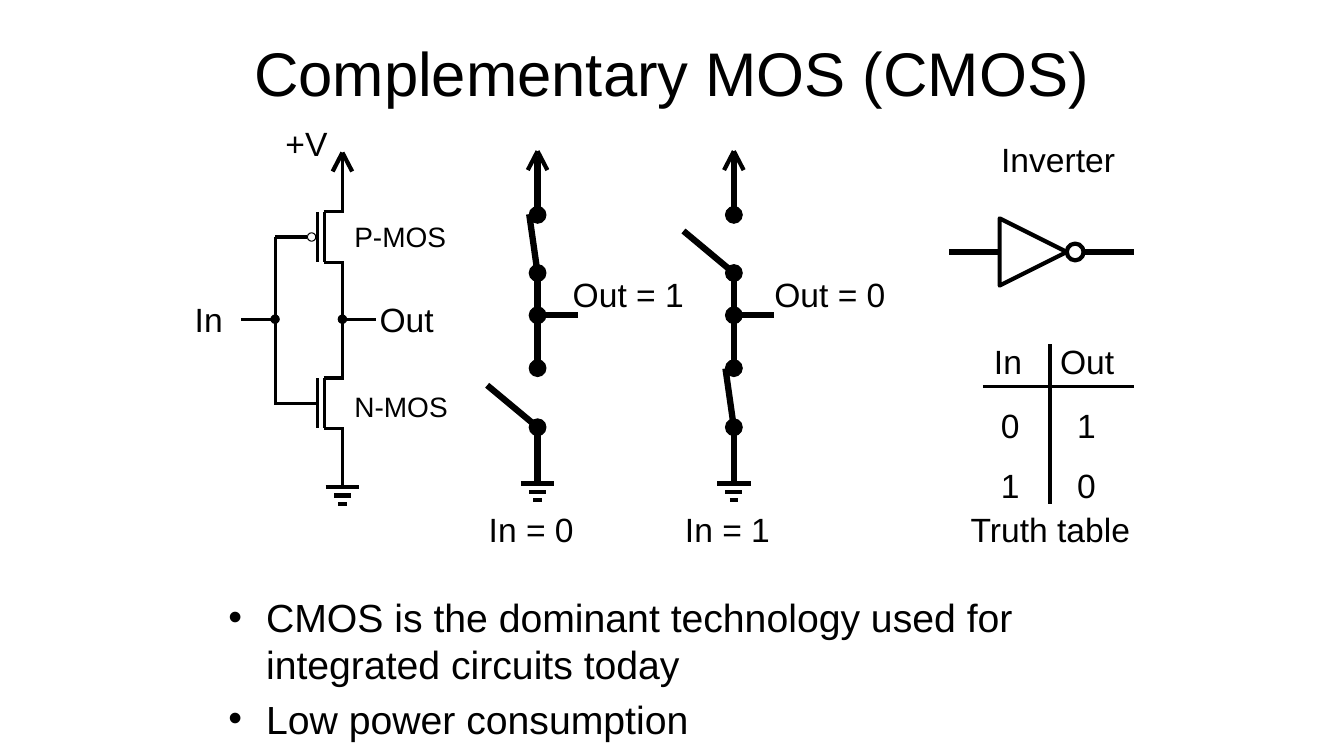
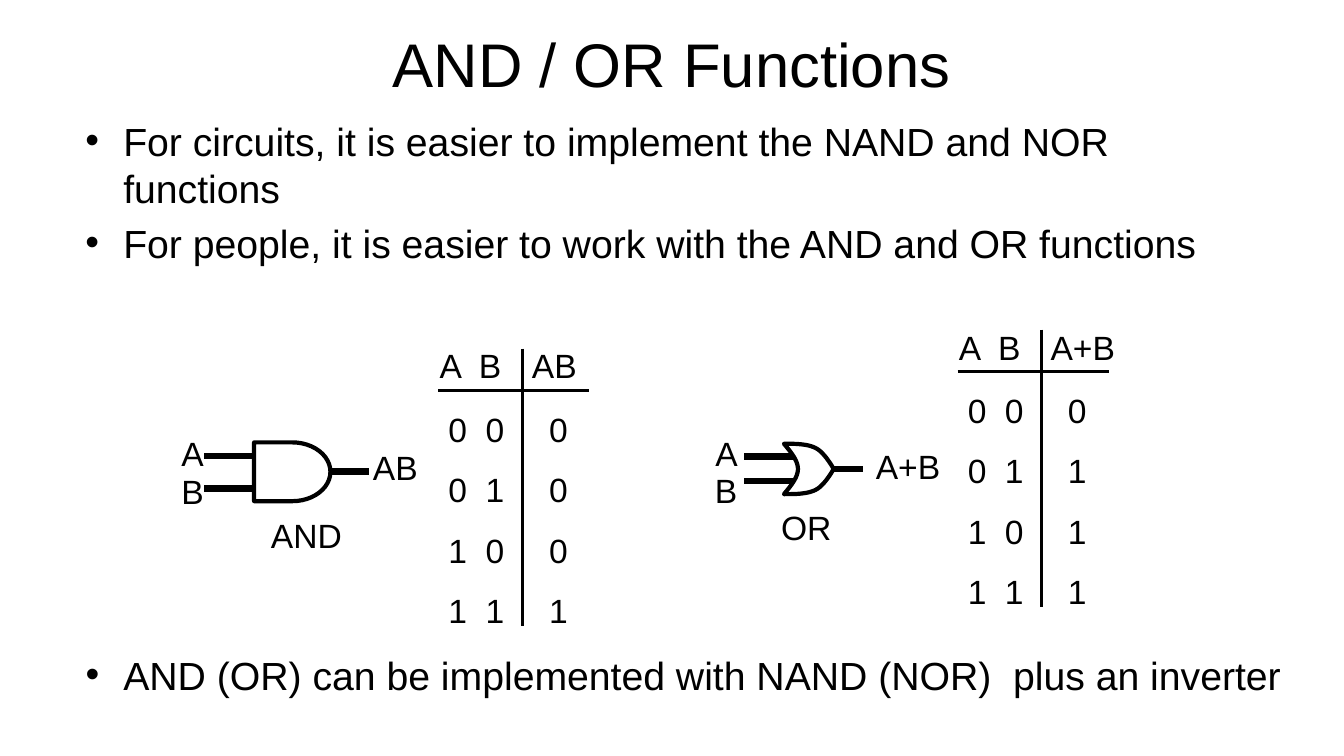
import pptx
import pptx.dml.color
import pptx.enum.shapes
import pptx.enum.text
import pptx.oxml
import pptx.oxml.ns
import pptx.util

Pt = pptx.util.Pt
SHAPE = pptx.enum.shapes.MSO_SHAPE
STRAIGHT = pptx.enum.shapes.MSO_CONNECTOR.STRAIGHT
ANCHOR = pptx.enum.text.MSO_ANCHOR
CENTER = pptx.enum.text.PP_ALIGN.CENTER
qn = pptx.oxml.ns.qn
NS = pptx.oxml.ns.nsdecls("a")

BLACK = pptx.dml.color.RGBColor(0, 0, 0)
WHITE = pptx.dml.color.RGBColor(255, 255, 255)
FONT = "Arial"
THIN, MEDIUM, THICK = 2.25, 3, 4.5
NO_GRID = "{2D5ABB26-0587-4C30-8999-92F81FD0307C}"
INDENT = 27
HEADER_H, ROW_H = 28.8, 43.2


def style(p, size):
    for r in p.runs:
        r.font.name = FONT
        r.font.size = Pt(size)
        r.font.color.rgb = BLACK


def add_slide(prs, title, top):
    slide = prs.slides.add_slide(prs.slide_layouts[5])
    sp = slide.shapes.title
    sp.left, sp.top, sp.width, sp.height = Pt(174), Pt(top), Pt(612), Pt(90)
    tf = sp.text_frame
    tf.text = title
    tf.vertical_anchor = ANCHOR.MIDDLE
    tf.paragraphs[0].alignment = CENTER
    style(tf.paragraphs[0], 44)
    return slide


def add_bullets(slide, x, y, w, h, items):
    tf = slide.shapes.add_textbox(Pt(x), Pt(y), Pt(w), Pt(h)).text_frame
    tf.word_wrap = True
    for i, item in enumerate(items):
        p = tf.add_paragraph() if i else tf.paragraphs[0]
        p.text = item
        pPr = p._p.get_or_add_pPr()
        pPr.set("marL", str(Pt(INDENT)))
        pPr.set("indent", str(-Pt(INDENT)))
        for bullet in (f'<a:buFont {NS} typeface="{FONT}"/>',
                       f'<a:buChar {NS} char="•"/>'):
            pPr.append(pptx.oxml.parse_xml(bullet))
        if i:
            p.space_before = Pt(5.6)
        style(p, 28)


def add_label(shapes, s, x, y, w, size=24):
    sp = shapes.add_textbox(Pt(x), Pt(y), Pt(w), Pt(size * 1.2 + 7.2))
    tf = sp.text_frame
    tf.word_wrap = False
    tf.text = s
    style(tf.paragraphs[0], size)


def add_line(shapes, x1, y1, x2, y2, width):
    cx = shapes.add_connector(STRAIGHT, Pt(x1), Pt(y1), Pt(x2), Pt(y2))
    cx.line.color.rgb = BLACK
    cx.line.width = Pt(width)
    cx._element.spPr.append(pptx.oxml.parse_xml(f'<a:effectLst {NS}/>'))


def outline(sp, width, fill=None):
    sp.shadow.inherit = False
    if fill is None:
        sp.fill.background()
    else:
        sp.fill.solid()
        sp.fill.fore_color.rgb = fill
    sp.line.color.rgb = BLACK
    sp.line.width = Pt(width)


def add_shape(shapes, kind, x, y, w, h, width, fill):
    sp = shapes.add_shape(kind, Pt(x), Pt(y), Pt(w), Pt(h))
    outline(sp, width, fill)
    return sp


def add_dot(shapes, x, y, radius, width=0.75, fill=BLACK):
    add_shape(shapes, SHAPE.OVAL, x - radius, y - radius,
              2 * radius, 2 * radius, width, fill)


def add_arrowhead(shapes, x, y):
    for dx in (-7, 7):
        add_line(shapes, x, y, x + dx, y + 13.5, MEDIUM)


def add_ground(shapes, x, y):
    for i, half in enumerate((12, 6, 3)):
        add_line(shapes, x - half, y + 6 * i, x + half, y + 6 * i, MEDIUM)


def add_transistor(shapes, x, top, bus, p_type):
    upper, lower, gate = top + 42, top + 78, top + 60
    channel, plate = x - 12.5, x - 18
    add_line(shapes, x, top, x, upper, THIN)
    add_line(shapes, x, lower, x, lower + 42, THIN)
    for y in (upper, lower):
        add_line(shapes, channel - 1, y, x + 1, y, THIN)
    for side in (channel, plate):
        add_line(shapes, side, upper, side, lower, THIN)
    add_line(shapes, bus, gate, plate - 7 if p_type else plate, gate, THIN)
    if p_type:
        add_dot(shapes, plate - 4, gate, 3, fill=WHITE)


def add_mos_circuit(slide):
    shapes = slide.shapes.add_group_shape().shapes
    x, bus, mid = 244.6, 196.5, 228
    add_transistor(shapes, x, 109.3, bus, True)
    add_transistor(shapes, x, mid, bus, False)
    add_arrowhead(shapes, x, 109)
    add_ground(shapes, x, 348)
    add_line(shapes, bus, 169, bus, 289, THIN)
    add_line(shapes, bus - 24, mid, bus, mid, THIN)
    add_line(shapes, x, mid, x + 24, mid, THIN)
    add_dot(shapes, x, mid, 3)
    add_dot(shapes, bus, mid, 3)
    add_label(shapes, "In", 132, 210, 34.5)
    add_label(shapes, "Out", 264, 210, 54)
    add_label(shapes, "+V", 196.8, 84, 44.5)
    add_label(shapes, "P-MOS", 246, 153.5, 81, 20)
    add_label(shapes, "N-MOS", 246, 274.5, 82, 20)


def add_switch_circuit(slide, x, value, out_gap):
    shapes = slide.shapes.add_group_shape().shapes
    top, upper, out, contact, lower = 153.5, 195, 225.2, 263, 305.2
    add_line(shapes, x, 111.5, x, top, THICK)
    add_line(shapes, x, upper, x, contact - 6, THICK)
    add_line(shapes, x, lower, x, 344, THICK)
    add_line(shapes, x, out, x + 29, out, THICK)
    for pivot, closed in ((upper, value == 0), (lower, value == 1)):
        dx, dy = (6, 42) if closed else (36, 30)
        add_line(shapes, x, pivot, x - dx, pivot - dy, THICK)
    for y in (top, upper, out, contact, lower):
        add_dot(shapes, x, y, 6)
    add_arrowhead(shapes, x, 108)
    add_ground(shapes, x, 345.3)
    add_label(shapes, f"In = {value}", x - 42, 360, 75.5)
    add_label(shapes, f"Out = {1 - value}", x + out_gap, 191.8, 95)


def add_inverter(slide):
    shapes = slide.shapes.add_group_shape().shapes
    add_label(shapes, "Inverter", 708, 96, 96.5)
    sp = add_shape(shapes, SHAPE.ISOSCELES_TRIANGLE, 714, 156, 48, 48, MEDIUM, WHITE)
    sp.rotation = 90
    for x in (678, 774):
        add_line(shapes, x, 180, x + 36, 180, THICK)
    add_dot(shapes, 768, 180, 6, MEDIUM, WHITE)


def add_truth_table(slide, x, y, columns, rows, rule_w, divider):
    n = len(rows)
    width = sum(w for w, _, _ in columns)
    frame = slide.shapes.add_table(n, len(columns), Pt(x), Pt(y), Pt(width),
                                   Pt(HEADER_H + ROW_H * (n - 1)))
    table = frame.table
    table.first_row = table.horz_banding = False
    table._tbl.tblPr.find(qn("a:tableStyleId")).text = NO_GRID
    for i, row in enumerate(rows):
        table.rows[i].height = Pt(ROW_H if i else HEADER_H)
        for j, s in enumerate(row):
            w, header_margin, body_margin = columns[j]
            table.columns[j].width = Pt(w)
            cell = table.cell(i, j)
            cell.margin_left = cell.margin_top = cell.margin_bottom = 0
            cell.margin_right = Pt(body_margin if i else header_margin)
            cell.vertical_anchor = ANCHOR.BOTTOM if i else ANCHOR.TOP
            cell.fill.background()
            cell.text = s
            p = cell.text_frame.paragraphs[0]
            p.alignment = CENTER
            style(p, 24)
    add_line(slide.shapes, x, y + 30, x + rule_w, y + 30, THIN)
    add_line(slide.shapes, x + divider, y, x + divider, y + 42 * n - 12, THIN)


def add_pins(shapes, inputs, in_x, body_x, tip_x, out_x, mid):
    for y in inputs:
        add_line(shapes, in_x, y, body_x, y, THICK)
    add_line(shapes, tip_x, mid, out_x, mid, THICK)


def add_and_gate(slide):
    shapes = slide.shapes.add_group_shape().shapes
    add_pins(shapes, (325.5, 349), 146, 182, 236, 263.5, 336.8)
    add_shape(shapes, SHAPE.FLOWCHART_DELAY, 181.5, 316, 54.5, 42, MEDIUM, WHITE)
    add_label(shapes, "A", 122.5, 306, 31)
    add_label(shapes, "B", 122.5, 332.5, 31)
    add_label(shapes, "AB", 259.3, 315.5, 47)
    add_label(shapes, "AND", 186.5, 364.5, 67)


def bezier(*points, steps=12):
    weights = [((1 - t) ** 3, 3 * t * (1 - t) ** 2, 3 * t * t * (1 - t), t ** 3)
               for t in (i / steps for i in range(steps + 1))]
    return [tuple(sum(w * p[k] for w, p in zip(ws, points)) for k in (0, 1))
            for ws in weights]


def add_or_gate(slide):
    shapes = slide.shapes.add_group_shape().shapes
    x, mid = 560, 335
    add_pins(shapes, (326, 343.5), 531.5, 567, 595.5, 616.5, mid)
    front = (bezier((0, -18), (8, -18), (16.5, -18), (22.5, -15))
             + bezier((22.5, -15), (29, -12), (35.5, 0), (35.5, 0)))
    back = bezier((0, -18), (5, -12), (10, -6), (10, 0))
    lower_front = [(dx, -dy) for dx, dy in reversed(front)]
    lower_back = [(dx, -dy) for dx, dy in back]
    points = [(Pt(x + dx), Pt(mid + dy))
              for dx, dy in front + lower_front + lower_back + back[::-1]]
    fb = shapes.build_freeform(*points[0])
    fb.add_line_segments(points[1:], close=True)
    outline(fb.convert_to_shape(), MEDIUM)
    add_label(shapes, "A", 504, 305.5, 31)
    add_label(shapes, "B", 503.5, 332, 31)
    add_label(shapes, "A+B", 618.5, 314.8, 61)
    add_label(shapes, "OR", 550.8, 358.5, 51)


def add_cmos_slide(prs):
    slide = add_slide(prs, "Complementary MOS (CMOS)", 6)
    add_bullets(slide, 156, 420, 648, 114, [
        "CMOS is the dominant technology used for integrated circuits today",
        "Low power consumption"])
    add_mos_circuit(slide)
    add_switch_circuit(slide, 384, 0, 18)
    add_switch_circuit(slide, 524.2, 1, 21.8)
    add_inverter(slide)
    add_truth_table(slide, 702, 246, [(48, 12, 9), (60, 7, 8)],
                    [("In", "Out"), "01", "10"], 108, 48)
    add_label(slide.shapes, "Truth table", 686.3, 360, 129.5)


def add_functions_slide(prs):
    slide = add_slide(prs, "AND / OR Functions", 0)
    add_bullets(slide, 54, 80, 864, 158, [
        "For circuits, it is easier to implement the NAND and NOR functions",
        "For people, it is easier to work with the AND and OR functions"])
    add_bullets(slide, 54, 461.3, 877, 73, [
        "AND (OR) can be implemented with NAND (NOR)  plus an inverter"])
    add_and_gate(slide)
    add_or_gate(slide)
    inputs = [(28, 10, 0), (32, 14, 7)]
    add_truth_table(slide, 313, 249, inputs + [(52, 6, 0)],
                    [("A", "B", "AB"), "000", "010", "100", "111"], 108, 60)
    add_truth_table(slide, 684, 235.5, inputs + [(60, 1, 9)],
                    [("A", "B", "A+B"), "000", "011", "101", "111"], 108, 60)


def main():
    prs = pptx.Presentation()
    prs.slide_width, prs.slide_height = Pt(960), Pt(540)
    add_cmos_slide(prs)
    add_functions_slide(prs)
    prs.save("out.pptx")


if __name__ == "__main__":
    main()
